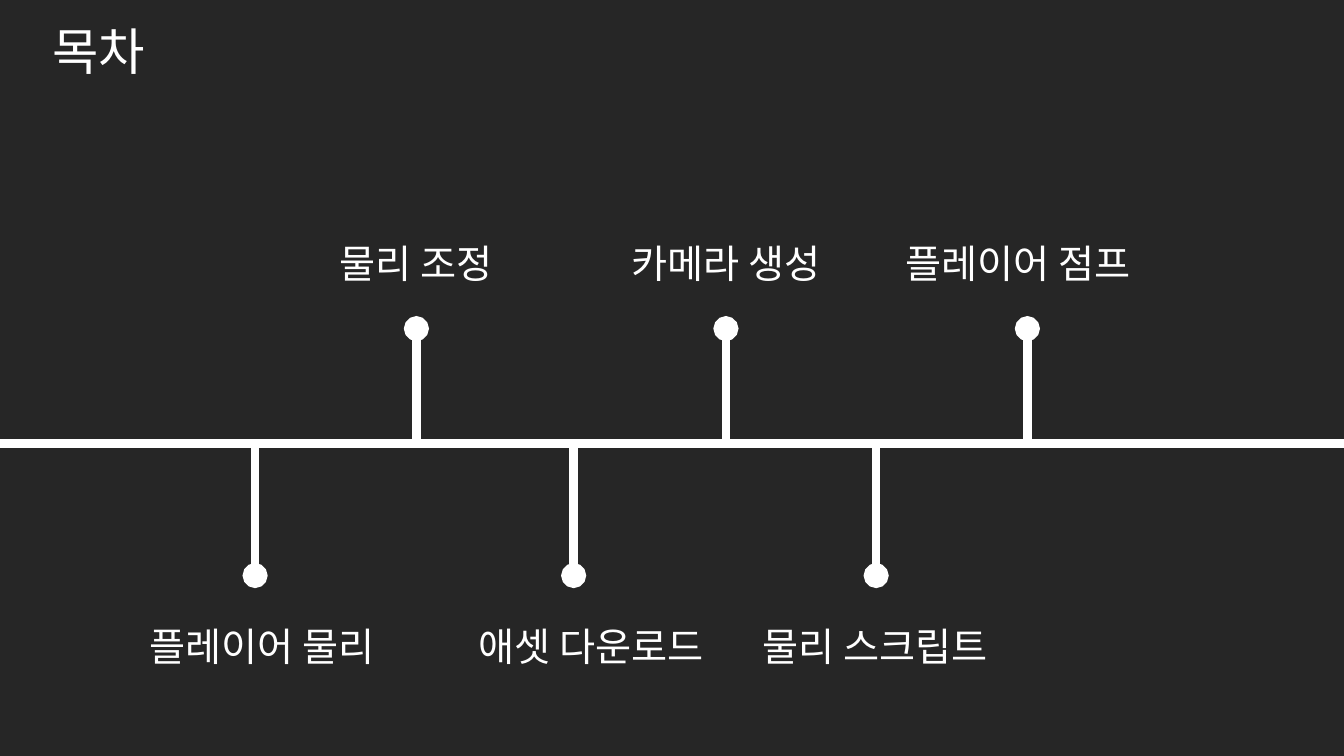
from lxml import etree
from pptx import Presentation
from pptx import util as u
from pptx.dml.color import RGBColor
from pptx.enum import shapes, text
from pptx.oxml.ns import qn

WHITE = RGBColor(0xFF, 0xFF, 0xFF)
DARK = RGBColor(0x26, 0x26, 0x26)
FONT = "Noto Sans CJK KR"
WIDTH, HEIGHT = 13.33, 7.5

AXIS_Y = 4.4
# (tip of the stem, top of the label) on each side of the axis
ABOVE, BELOW = (3.26, 2.33), (5.71, 6.12)
# topic, stem x, label centre, label width
TOPICS = [
    ("플레이어 물리", 2.53, 2.6, 3.05),
    ("물리 조정", 4.13, 4.13, 3.05),
    ("애셋 다운로드", 5.69, 5.86, 2.77),
    ("카메라 생성", 7.2, 7.2, 2.77),
    ("물리 스크립트", 8.69, 8.68, 2.77),
    ("플레이어 점프", 10.19, 10.1, 2.77),
]


def write(shape, content, size):
    """Put one centred white line of text into a shape."""
    tf = shape.text_frame
    tf.word_wrap = True
    tf.auto_size = text.MSO_AUTO_SIZE.SHAPE_TO_FIT_TEXT
    tf.vertical_anchor = text.MSO_ANCHOR.TOP
    p = tf.paragraphs[0]
    p.alignment = text.PP_ALIGN.CENTER
    r = p.add_run()
    r.text = content
    r.font.size = u.Pt(size)
    r.font.name = FONT
    r.font.color.rgb = WHITE
    # East Asian glyphs take their typeface from a:ea
    etree.SubElement(r.font._element, qn("a:ea"), typeface=FONT)


def add_title(s, content):
    title = s.shapes.title
    title.left, title.top = u.Inches(0), u.Inches(0.15)
    title.width, title.height = u.Inches(1.96), u.Inches(0.71)
    write(title, content, 36)


def add_label(s, content, centre, top, width):
    box = s.shapes.add_textbox(u.Inches(centre - width / 2), u.Inches(top),
                               u.Inches(width), u.Inches(0.57))
    write(box, content, 28)


def add_line(s, start, end, dot=False):
    """Draw a thick white line, with a round end if dot is set."""
    points = [u.Inches(v) for v in (*start, *end)]
    line = s.shapes.add_connector(shapes.MSO_CONNECTOR.STRAIGHT, *points)
    line.line.color.rgb = WHITE
    line.line.width = u.Pt(6)
    if dot:
        etree.SubElement(line.line._get_or_add_ln(), qn("a:tailEnd"), type="oval")
    etree.SubElement(line._element.spPr, qn("a:effectLst"))


def main():
    prs = Presentation()
    prs.slide_width, prs.slide_height = u.Inches(WIDTH), u.Inches(HEIGHT)
    s = prs.slides.add_slide(prs.slide_layouts[5])
    s.background.fill.solid()
    s.background.fill.fore_color.rgb = DARK

    add_title(s, "목차")
    add_line(s, (0, AXIS_Y), (WIDTH, AXIS_Y))
    for i, (topic, x, centre, width) in enumerate(TOPICS):
        tip, label_top = ABOVE if i % 2 else BELOW
        add_line(s, (x, AXIS_Y), (x, tip), dot=True)
        add_label(s, topic, centre, label_top, width)

    prs.save("out.pptx")


if __name__ == "__main__":
    main()
